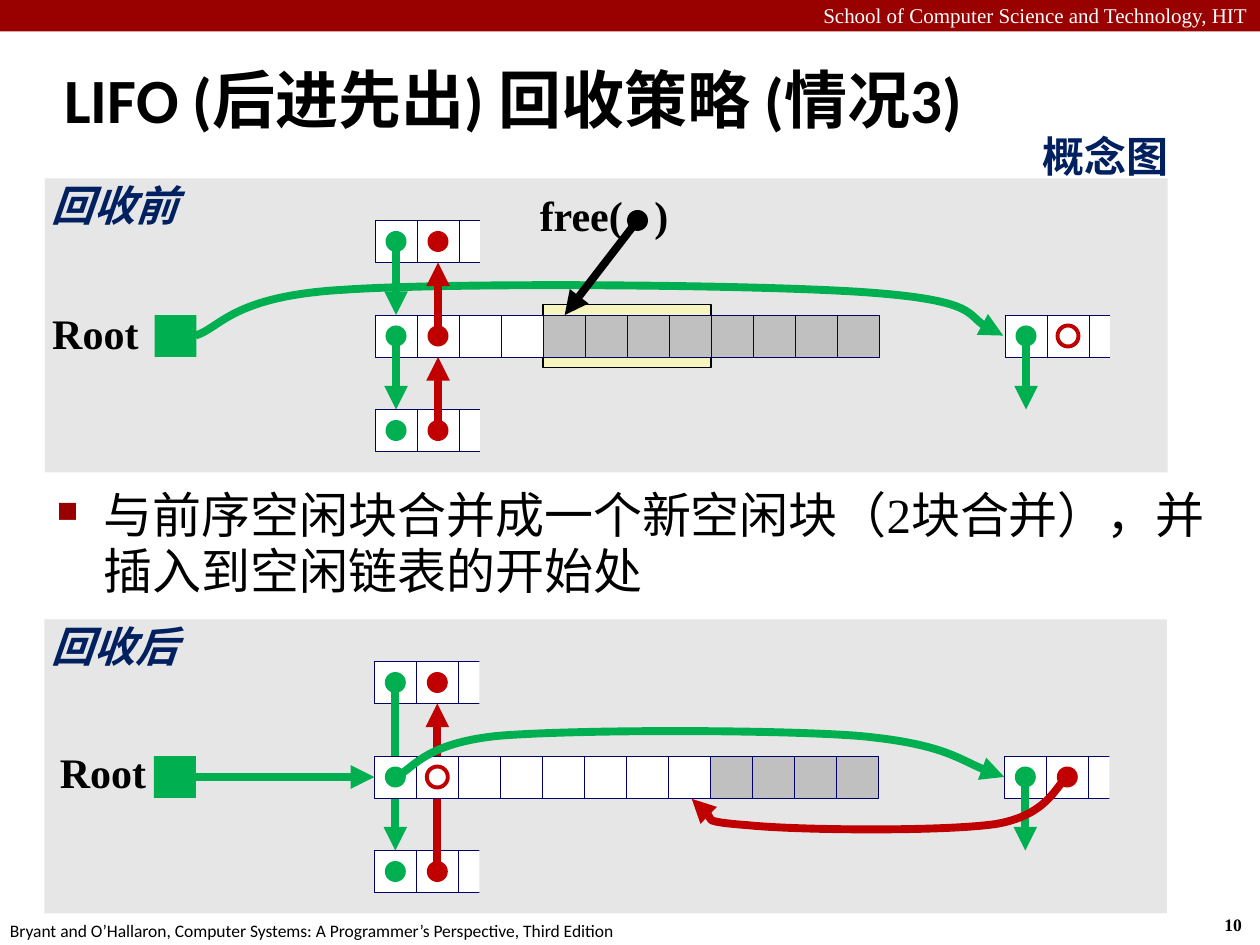
"""Builds the slide on LIFO freeing, case 3, with the free list before and after."""
from dataclasses import dataclass
from typing import Any, Optional

from lxml import etree
from pptx import Presentation
from pptx.dml.color import RGBColor
from pptx.enum.shapes import MSO_CONNECTOR, MSO_SHAPE
from pptx.enum.text import MSO_ANCHOR, MSO_AUTO_SIZE, PP_ALIGN
from pptx.oxml.ns import qn
from pptx.util import Pt

RECT, OVAL = MSO_SHAPE.RECTANGLE, MSO_SHAPE.OVAL
STRAIGHT = MSO_CONNECTOR.STRAIGHT
LEFT, CENTER, RIGHT = PP_ALIGN.LEFT, PP_ALIGN.CENTER, PP_ALIGN.RIGHT
MIDDLE, NO_FIT = MSO_ANCHOR.MIDDLE, MSO_AUTO_SIZE.NONE
SERIF, SANS, CJK = "Times New Roman", "Calibri", "Noto Sans CJK SC"
COLORS = {
    "bar": "990000", "panel": "E6E6E6", "free": "FFFFFF", "used": "C0C0C0",
    "border": "000066", "next": "00B050", "prev": "C00000", "freed": "F6F5BD",
    "ink": "000000", "caption": "002060",
}
CELL, ROW_STEP, DOT = 24, 54, 12
TAIL_COL, BLOCK_COLS = 15, 12

Point = tuple[float, float]


@dataclass(frozen=True)
class Style:
    size: float
    color: str = "ink"
    font: str = SERIF
    bold: bool = False
    italic: bool = False


@dataclass(frozen=True)
class Diagram:
    """Shapes placed relative to the first cell of the middle row."""
    shapes: Any
    x: float = 0
    y: float = 0


HEAVY = Style(24, bold=True)
STATE = Style(24, "caption", SANS, True, True)


def rgb(name: str) -> RGBColor:
    return RGBColor.from_string(COLORS[name])


def center(col: int, row: int) -> Point:
    return col * CELL + CELL / 2, row * ROW_STEP + CELL / 2


def style_runs(paragraph: Any, style: Style) -> None:
    for run in paragraph.runs:
        font = run.font
        font.size, font.bold, font.italic = Pt(style.size), style.bold, style.italic
        font.color.rgb, font.name = rgb(style.color), style.font
        etree.SubElement(run.font._element, qn("a:ea"), typeface=CJK)


def add_text(d: Diagram, x: float, y: float, w: float, h: float, text: str, style: Style,
             align: Any = LEFT, wrap: bool = False, inset: float = 7.2, spacing: float = 1) -> Any:
    box = d.shapes.add_textbox(Pt(d.x + x), Pt(d.y + y), Pt(w), Pt(h))
    frame = box.text_frame
    frame.word_wrap = wrap
    frame.margin_left = frame.margin_right = Pt(inset)
    frame.text = text
    paragraph = frame.paragraphs[0]
    paragraph.alignment, paragraph.line_spacing = align, spacing
    style_runs(paragraph, style)
    return paragraph


def add_label(d: Diagram, x: float, y: float, w: float, text: str, style: Style) -> Any:
    return add_text(d, x, y, w, 34, text, style, CENTER, inset=3.6, spacing=0.9)


def add_box(d: Diagram, x: float, y: float, w: float, h: float, fill: Optional[str],
            line: Optional[str] = None, weight: float = 0.25, preset: Any = RECT) -> None:
    box = d.shapes.add_shape(preset, Pt(d.x + x), Pt(d.y + y), Pt(w), Pt(h))
    box.shadow.inherit = False
    if fill:
        box.fill.solid()
        box.fill.fore_color.rgb = rgb(fill)
    else:
        box.fill.background()
    if line:
        box.line.color.rgb, box.line.width = rgb(line), Pt(weight)
    else:
        box.line.fill.background()


def add_cells(d: Diagram, row: int, first: int, count: int, fill: str) -> None:
    for col in range(first, first + count):
        add_box(d, col * CELL, row * ROW_STEP, CELL, CELL, fill, "border")


def add_open_block(d: Diagram, row: int, first: int = 0) -> None:
    add_cells(d, row, first, 3, "free")
    add_box(d, (first + 2.5) * CELL, row * ROW_STEP - 6, CELL, CELL + 12, "panel")


def add_dot(d: Diagram, at: Point, color: str, hollow: bool = False) -> None:
    fill, line = (None, color) if hollow else (color, None)
    add_box(d, at[0] - DOT / 2, at[1] - DOT / 2, DOT, DOT, fill, line, 2.25, OVAL)


def finish_arrow(arrow: Any, color: str) -> None:
    arrow.line.color.rgb, arrow.line.width = rgb(color), Pt(4.5)
    etree.SubElement(arrow.element.spPr.find(qn("a:ln")), qn("a:tailEnd"), type="triangle")


def add_arrow(d: Diagram, start: Point, end: Point, color: str) -> None:
    arrow = d.shapes.add_connector(STRAIGHT, Pt(d.x + start[0]), Pt(d.y + start[1]),
                                   Pt(d.x + end[0]), Pt(d.y + end[1]))
    finish_arrow(arrow, color)
    etree.SubElement(arrow.element.spPr, qn("a:effectLst"))


def add_curve(d: Diagram, points: list[Point], color: str) -> None:
    """Turn each three points after the first into one cubic segment."""
    placed = [(Pt(d.x + x), Pt(d.y + y)) for x, y in points]
    builder = d.shapes.build_freeform(*placed[0])
    builder.add_line_segments(placed[1:], close=False)
    curve = builder.convert_to_shape()
    curve.shadow.inherit = False
    curve.fill.background()
    finish_arrow(curve, color)
    outline = next(curve.element.iter(qn("a:path")))
    steps = outline.findall(qn("a:lnTo"))
    for i in range(0, len(steps), 3):
        cubic = etree.SubElement(outline, qn("a:cubicBezTo"))
        for step in steps[i:i + 3]:
            cubic.append(step[0])
            outline.remove(step)


def add_panel(slide: Any, x: float, y: float, state: str) -> Diagram:
    d = Diagram(slide.shapes.add_group_shape().shapes, x, y)
    add_box(d, -188.6, -78, 641.5, 168, "panel")
    add_label(d, -189, -77.7, 80.6, state, STATE)
    add_box(d, -126, 0, CELL, CELL, "next")
    for row in (-1, 1):
        add_open_block(d, row)
    add_open_block(d, 0, TAIL_COL)
    return d


def add_pointers(d: Diagram, middle_hollow: bool, tail_hollow: bool) -> None:
    for row in (-1, 0, 1):
        add_dot(d, center(0, row), "next")
        add_dot(d, center(1, row), "prev", middle_hollow and row == 0)
    add_dot(d, center(TAIL_COL, 0), "next")
    add_dot(d, center(TAIL_COL + 1, 0), "prev", tail_hollow)
    add_arrow(d, center(TAIL_COL, 0), (center(TAIL_COL, 0)[0], ROW_STEP), "next")


def add_before(slide: Any) -> None:
    d = add_panel(slide, 214.3, 180, "回收前")
    add_label(d, -188.3, -4.3, 57, "Root", HEAVY)
    add_box(d, 4 * CELL, -6, 4 * CELL, CELL + 12, "freed", "ink", 0.75)
    add_curve(d, [(-102.6, 11.8), (-88, 7.2), (-81.7, -10.8), (-17.6, -14.4), (45.7, -18.7),
                  (217, -17.3), (279.7, -13), (342.4, -8.6), (342.4, 6.5), (359, 11.8)], "next")
    add_cells(d, 0, 0, 4, "free")
    add_cells(d, 0, 4, BLOCK_COLS - 4, "used")
    for row in (0, 1):
        add_arrow(d, center(0, row - 1), (12, row * ROW_STEP), "next")
        add_arrow(d, center(1, row), (36, (row - 1) * ROW_STEP + CELL), "prev")
    add_pointers(d, False, True)
    call = add_label(d, 90.4, -72, 81, "free(", HEAVY)
    gap, closing = call.add_run(), call.add_run()
    gap.text, closing.text = " ", ")"
    style_runs(call, HEAVY)
    gap.font._element.set("spc", "1200")
    add_dot(d, (150, -54), "ink")
    add_arrow(d, (150, -54), (108.4, 0), "ink")
    add_text(d, 331.5, -108.7, 129, 36, "概念图", Style(24, "caption", CJK, True), RIGHT, True)


def add_after(slide: Any) -> None:
    d = add_panel(slide, 213.9, 432, "回收后")
    add_label(d, -183.6, -5.8, 57, "Root", HEAVY)
    add_arrow(d, center(1, 1), (36, CELL - ROW_STEP), "prev")
    add_arrow(d, center(0, -1), (12, ROW_STEP), "next")
    add_cells(d, 0, 0, 8, "free")
    add_cells(d, 0, 8, BLOCK_COLS - 8, "used")
    add_pointers(d, True, False)
    add_arrow(d, (-108, 12), (0, 12), "next")
    add_curve(d, [(12, 12), (22.3, 7.9), (27.4, -7.2), (71.3, -11.5), (115.2, -15.1),
                  (227.5, -15.1), (275.8, -11.5), (324, -7.2), (342.7, 7.2), (360, 12)], "next")
    add_curve(d, [(396, 12), (389.5, 16.6), (385.2, 33.8), (355, 38.9), (324.7, 43.2),
                  (242.6, 42.5), (213.8, 39.6), (185, 37.4), (187.9, 28), (181.4, 24.5)], "prev")


def add_title(slide: Any) -> None:
    title = slide.shapes.title
    title.left, title.top, title.width, title.height = Pt(29.5), Pt(29.5), Pt(685), Pt(60)
    frame = title.text_frame
    frame.text = "LIFO (后进先出) 回收策略 (情况3)"
    frame.auto_size, frame.vertical_anchor = NO_FIT, MIDDLE
    paragraph = frame.paragraphs[0]
    paragraph.alignment, paragraph.line_spacing = LEFT, 0.87
    style_runs(paragraph, Style(36, font=SANS, bold=True))


def add_explanation(page: Diagram) -> None:
    paragraph = add_text(page, 25.2, 275.8, 677, 74,
                         "与前序空闲块合并成一个新空闲块（2块合并），并插入到空闲链表的开始处",
                         Style(28), wrap=True, spacing=0.95)
    paragraph.space_before = Pt(5.6)
    props = paragraph._p.get_or_add_pPr()
    props.set("marL", str(Pt(27)))
    props.set("indent", str(Pt(-27)))
    bullet_color = etree.SubElement(props, qn("a:buClr"))
    etree.SubElement(bullet_color, qn("a:srgbClr"), val=COLORS["bar"])
    etree.SubElement(props, qn("a:buSzPct"), val="60000")
    etree.SubElement(props, qn("a:buChar"), char="■")


def main() -> None:
    deck = Presentation()
    deck.slide_width, deck.slide_height = Pt(720), Pt(540)
    slide = deck.slides.add_slide(deck.slide_layouts[5])
    page = Diagram(slide.shapes)
    add_box(page, 0, 0, 720, 18, "bar")
    add_text(page, 692.6, 519, 27, 19.4, "10", Style(10, bold=True))
    add_text(page, -1.4, 522, 366, 19.4, "Bryant and O’Hallaron, Computer Systems: "
             "A Programmer’s Perspective, Third Edition", Style(10, font=SANS))
    add_text(page, 0, -2.2, 720, 21.8, "School of Computer Science and Technology, HIT",
             Style(12, "free"), RIGHT, True)
    add_title(slide)
    add_after(slide)
    add_before(slide)
    add_explanation(page)
    deck.save("out.pptx")


if __name__ == "__main__":
    main()
